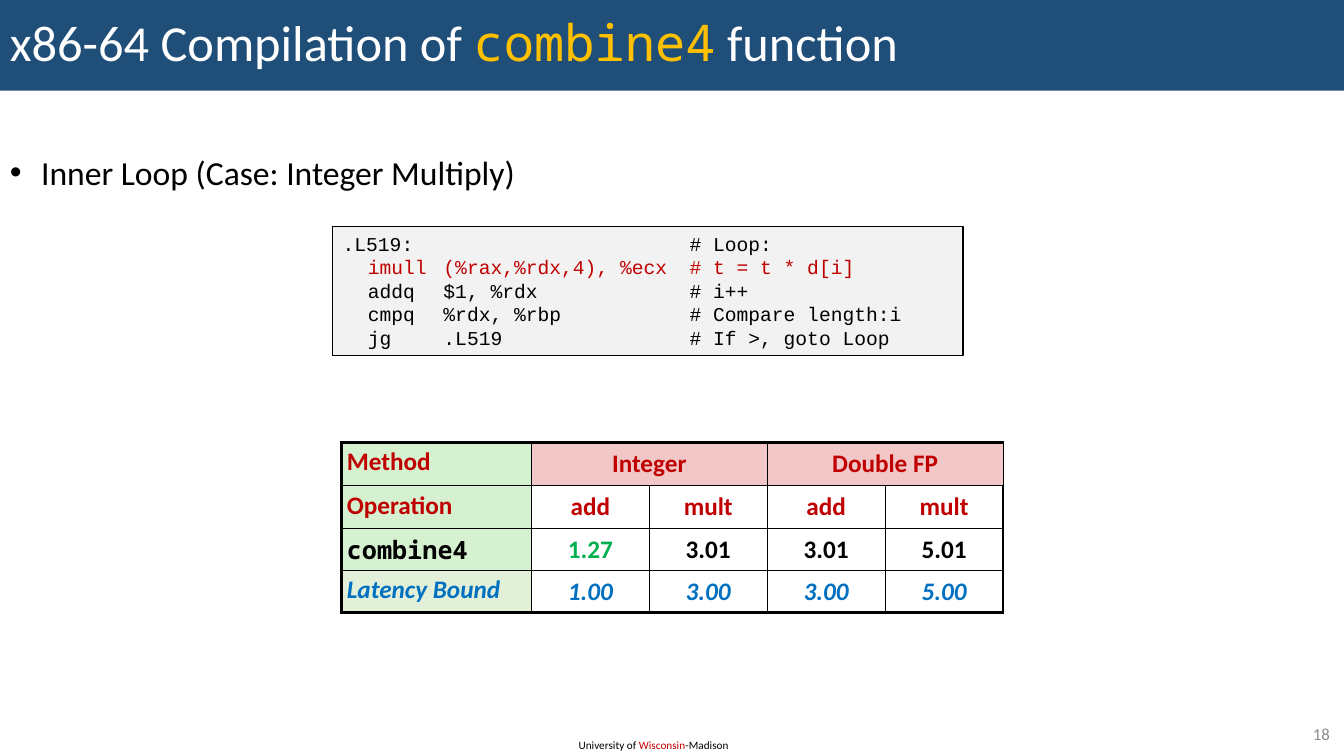
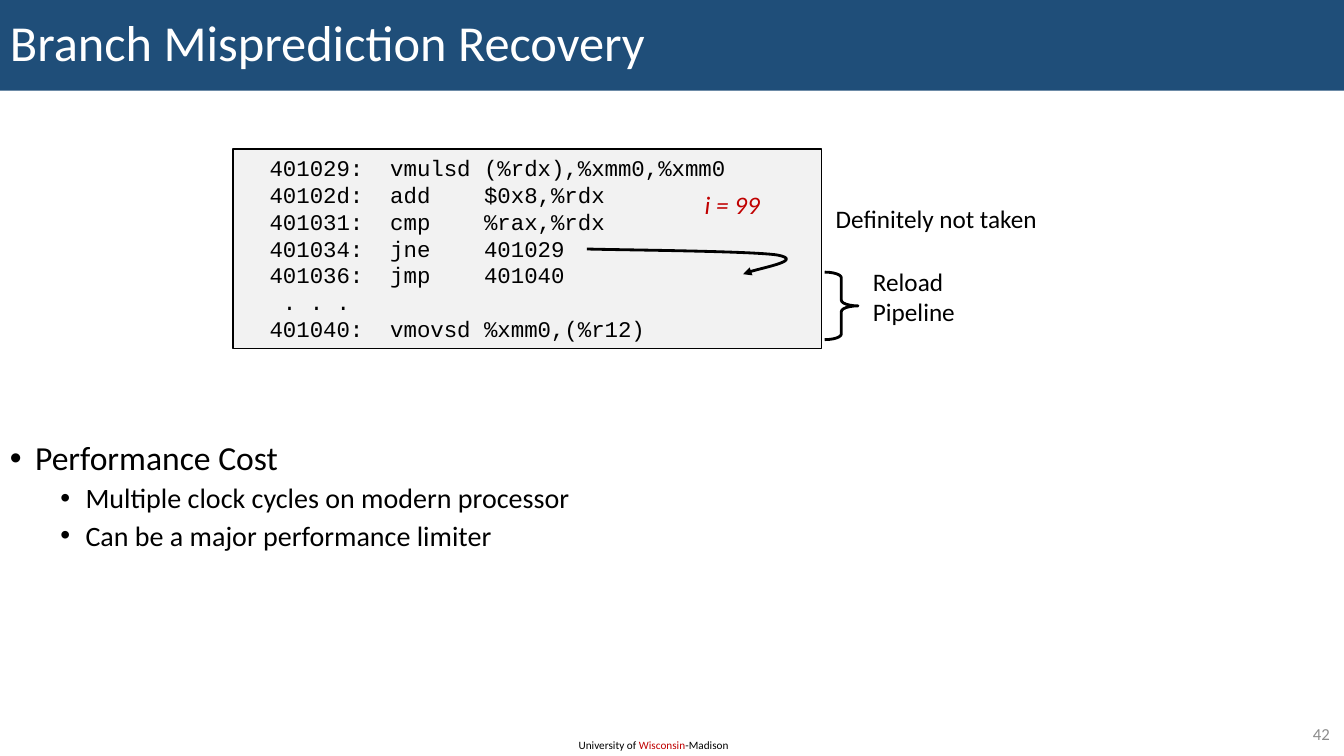
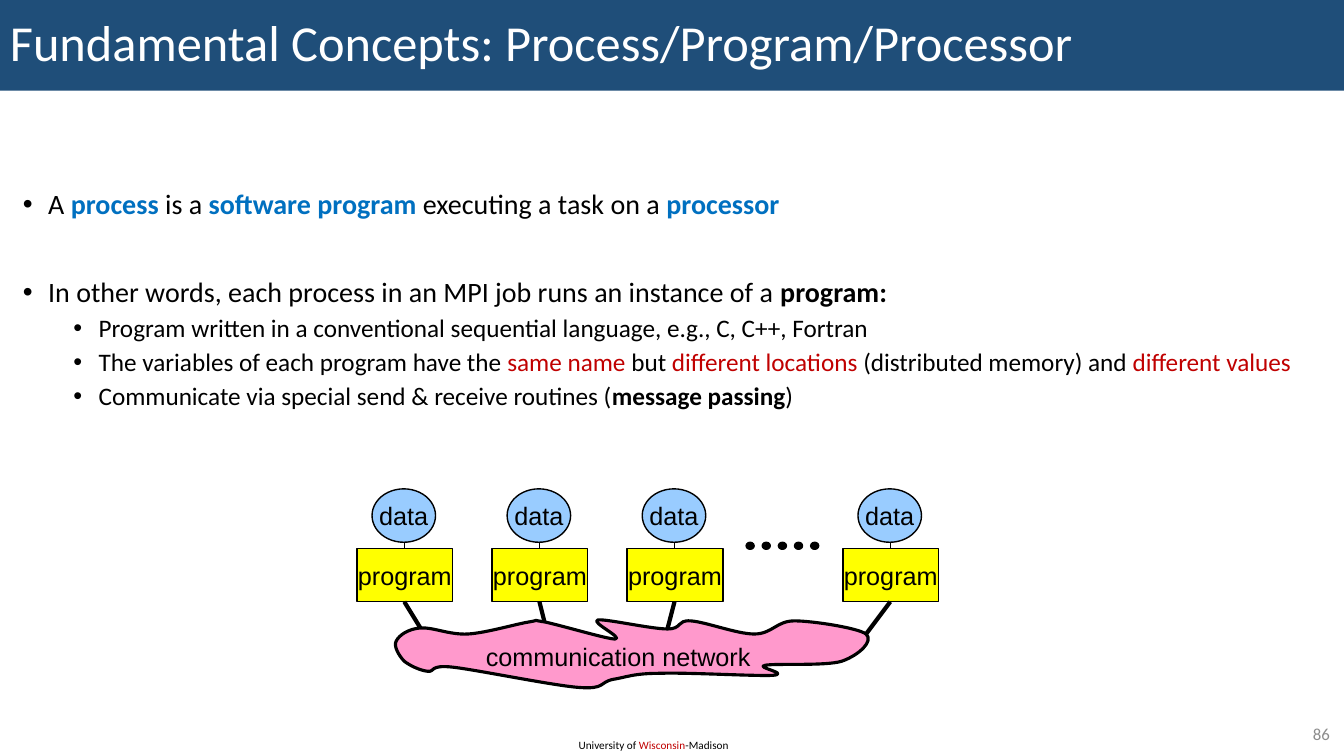
"""Build three lecture slides on program performance and message passing."""
from lxml import etree
from pptx import Presentation
from pptx.dml.color import RGBColor
from pptx.enum import shapes, text
from pptx.oxml import ns
from pptx.util import Emu, Pt

PX = 9144
SLIDE_W, SLIDE_H = 1333, 750
BLACK, WHITE, RED, BLUE = "000000", "FFFFFF", "C00000", "0070C0"
NAVY, GOLD, GREEN, GREY = "1F4E79", "FFC000", "00B050", "8C8C8C"
CODE_FILL, MINT, SAGE, ROSE = "F2F2F2", "D5F1CF", "E2F0D9", "F1C7C7"
SKY, YELLOW, PINK = "99CCFF", "FFFF00", "FF99CC"
MONO = "Noto Sans Mono"
LEFT, CENTER, RIGHT = text.PP_ALIGN.LEFT, text.PP_ALIGN.CENTER, text.PP_ALIGN.RIGHT
TOP, MIDDLE = text.MSO_ANCHOR.TOP, text.MSO_ANCHOR.MIDDLE
SHAPE = shapes.MSO_SHAPE


def px(n):
    """Turn pixels into EMU."""
    return Emu(n * PX)


def rgb(value):
    """Turn a hex string into a colour."""
    return RGBColor.from_string(value)


def font(size, color=BLACK, name="Calibri", **extra):
    """Return the format values of a run."""
    return {"name": name, "size": Pt(size), "color": color, **extra}


def apply(obj, values):
    """Set attributes from a dict."""
    for key, value in values.items():
        setattr(obj, key, value)


def child(parent, tag, **attrs):
    """Append a DrawingML element."""
    el = etree.SubElement(parent, ns.qn(tag))
    for key, value in attrs.items():
        el.set(key, str(value))
    return el


def fill_runs(p, runs, base):
    """Add runs, each a string or a (string, overrides) pair."""
    for run in [runs] if isinstance(runs, str) else runs:
        words, own = (run, {}) if isinstance(run, str) else run
        values = {**base, **own}
        r = p.add_run()
        r.text = words
        r.font.color.rgb = rgb(values.pop("color"))
        apply(r.font, values)


def paragraphs(tf, count):
    """Yield the given number of paragraphs of a text frame."""
    for i in range(count):
        yield tf.add_paragraph() if i else tf.paragraphs[0]


def write(sp, lines, base, align=LEFT, anchor=TOP, wrap=True, spacing=None, tabs=()):
    """Fill a shape with one paragraph per line."""
    tf = sp.text_frame
    apply(tf, {"word_wrap": wrap, "vertical_anchor": anchor})
    for p, runs in zip(paragraphs(tf, len(lines)), lines):
        apply(p, {"alignment": align, "line_spacing": spacing})
        if tabs:
            tab_list = child(p._p.get_or_add_pPr(), "a:tabLst")
            for pos in tabs:
                child(tab_list, "a:tab", pos=px(pos), algn="l")
        fill_runs(p, runs, base)


def label(s, box, lines, base, **layout):
    """Add a text box."""
    sp = s.shapes.add_textbox(*map(px, box))
    write(sp, lines, base, **layout)
    return sp


def paint(sp, fill=None, line=None, width=1):
    """Set the fill and outline of a shape."""
    sp.shadow.inherit = False
    if fill:
        sp.fill.solid()
        sp.fill.fore_color.rgb = rgb(fill)
    else:
        sp.fill.background()
    if line:
        sp.line.color.rgb = rgb(line)
        sp.line.width = Pt(width)
    else:
        sp.line.fill.background()
    return sp


def block(s, kind, box, fill=None, line=BLACK, width=1):
    """Add a preset shape."""
    return paint(s.shapes.add_shape(kind, *map(px, box)), fill, line, width)


def link(s, start, end, width):
    """Add a straight black line."""
    ends = map(px, (*start, *end))
    sp = s.shapes.add_connector(shapes.MSO_CONNECTOR.STRAIGHT, *ends)
    sp.line.color.rgb = rgb(BLACK)
    sp.line.width = Pt(width)
    child(sp.element.spPr, "a:effectLst")


def curve(s, start, segments, closed, **look):
    """Add an outline of cubic segments (x1, y1, x2, y2, x, y)."""
    builder = s.shapes.build_freeform(*start, scale=PX)
    points = [seg[i:i + 2] for seg in segments for i in (0, 2, 4)]
    builder.add_line_segments(points, close=closed)
    sp = builder.convert_to_shape()
    steps = list(sp.element.iter(ns.qn("a:lnTo")))
    for trio in zip(steps[::3], steps[1::3], steps[2::3]):
        cubic = etree.Element(ns.qn("a:cubicBezTo"))
        trio[0].addprevious(cubic)
        for step in trio:
            cubic.append(step[0])
            step.getparent().remove(step)
    return paint(sp, **look)


def bullets(s, box, items, sizes, indents):
    """Add bulleted text from (level, space before, runs) items."""
    tf = s.shapes.add_textbox(*map(px, box)).text_frame
    tf.word_wrap = True
    for p, (level, before, runs) in zip(paragraphs(tf, len(items)), items):
        margin, hang = indents[level]
        pPr = p._p.get_or_add_pPr()
        pPr.set("marL", str(px(margin)))
        pPr.set("indent", str(px(-hang)))
        child(pPr, "a:buFont", typeface="Arial")
        child(pPr, "a:buChar", char="•")
        apply(p, {"level": level, "line_spacing": 0.9, "space_before": Pt(before)})
        fill_runs(p, runs, font(sizes[level]))


def code(s, box, lines, size, tabs=()):
    """Add a grey box of code."""
    sp = block(s, SHAPE.RECTANGLE, box, CODE_FILL)
    write(sp, lines, font(size, name="Courier New"), tabs=tabs)


def border(cell, widths):
    """Draw the four sides of a table cell."""
    tcPr = cell._tc.get_or_add_tcPr()
    for side, width in zip("LRTB", widths):
        ln = child(tcPr, f"a:ln{side}", w=Pt(width))
        child(child(ln, "a:solidFill"), "a:srgbClr", val=BLACK)


def timing_table(s, left, top, widths, heights, rows):
    """Add a table of (text, fill, overrides) cells, None continuing a span."""
    size = sum(widths), sum(heights)
    table = s.shapes.add_table(len(rows), len(widths), *map(px, (left, top, *size))).table
    apply(table, {"first_row": False, "horz_banding": False})
    for col, width in zip(table.columns, widths):
        col.width = px(width)
    for row, height in zip(table.rows, heights):
        row.height = px(height)
    last_row, last_col = len(rows) - 1, len(widths) - 1
    margins = {f"margin_{side}": px(5) for side in ("left", "right", "top", "bottom")}
    for i, row in enumerate(rows):
        for j, content in enumerate(row):
            cell = table.cell(i, j)
            outer = j == 0, j == last_col, i == 0, i == last_row
            border(cell, [2.25 if edge else 1 for edge in outer])
            if content is None:
                table.cell(i, j - 1).merge(cell)
                continue
            words, fill, own = content
            apply(cell, {"vertical_anchor": MIDDLE if j else TOP, **margins})
            if fill:
                cell.fill.solid()
                cell.fill.fore_color.rgb = rgb(fill)
            else:
                cell.fill.background()
            p = cell.text_frame.paragraphs[0]
            apply(p, {"alignment": CENTER if j else LEFT, "line_spacing": 0.95})
            fill_runs(p, words, font(18, bold=True, **own))


def lecture_slide(prs, title, number):
    """Add a slide with the title band, footer and number."""
    s = prs.slides.add_slide(prs.slide_layouts[6])
    band = block(s, SHAPE.RECTANGLE, (0, 0, SLIDE_W, 90), NAVY, None)
    write(band, [title], font(36, WHITE), anchor=MIDDLE, spacing=0.9)
    footer = ["University of ", ("Wisconsin", {"color": RED}), "-Madison"]
    label(s, (564, 728, 172, 24), [footer], font(8))
    label(s, (1253, 713, 76, 29), [str(number)], font(12, GREY), align=RIGHT, anchor=MIDDLE)
    return s


def compilation(prs):
    """Build the slide on the compiled inner loop."""
    title = ["x86-64 Compilation of ", ("combine4", {"name": MONO, "color": GOLD}), " function"]
    s = lecture_slide(prs, title, 18)
    bullets(s, (0, 150, 903, 75), [(0, 0, "Inner Loop (Case: Integer Multiply)")],
            [24], [(31, 31)])
    loop = [
        ".L519:\t\t# Loop:",
        [("\timull\t(%rax,%rdx,4), %ecx\t# t = t * d[i]", {"color": RED})],
        "\taddq\t$1, %rdx\t# i++",
        "\tcmpq\t%rdx, %rbp\t# Compare length:i",
        "\tjg\t.L519\t# If >, goto Loop",
    ]
    code(s, (330, 225, 625, 128), loop, 14, tabs=(25, 100, 344))
    red, black, green = {"color": RED}, {"color": BLACK}, {"color": GREEN}
    bound = {"color": BLUE, "italic": True}
    rows = [
        [("Method", MINT, red), ("Integer", ROSE, red), None, ("Double FP", ROSE, red), None],
        [("Operation", MINT, red)] + [(op, None, red) for op in ("add", "mult") * 2],
        [("combine4", MINT, {"name": MONO, **black}), ("1.27", None, green)]
        + [(v, None, black) for v in ("3.01", "3.01", "5.01")],
        [("Latency Bound", SAGE, bound)]
        + [(v, None, bound) for v in ("1.00", "3.00", "3.00", "5.00")],
    ]
    timing_table(s, 339, 439, [188] + [117] * 4, [43] + [42] * 3, rows)


def misprediction(prs):
    """Build the slide on branch misprediction."""
    s = lecture_slide(prs, "Branch Misprediction Recovery", 42)
    items = [
        (0, 0, "Performance Cost"),
        (1, 5, "Multiple clock cycles on modern processor"),
        (1, 5, "Can be a major performance limiter"),
    ]
    bullets(s, (0, 433, 876, 150), items, [24, 20], [(25, 25), (75, 25)])
    listing = [
        "  401029:  vmulsd (%rdx),%xmm0,%xmm0",
        "  40102d:  add    $0x8,%rdx",
        "  401031:  cmp    %rax,%rdx",
        "  401034:  jne    401029",
        "  401036:  jmp    401040",
        "   . . .",
        "  401040:  vmovsd %xmm0,(%r12)",
    ]
    code(s, (231, 148, 584, 198), listing, 16)
    fall_through = [(613, 248, 745, 249, 771, 253), (797, 258, 744, 268, 737, 272)]
    arrow = curve(s, (582, 247), fall_through, False, line=BLACK, width=2)
    child(arrow.element.spPr.find(ns.qn("a:ln")), "a:tailEnd", type="triangle")
    label(s, (689, 183, 76, 40), ["i = 99"], font(18, RED, italic=True), wrap=False)
    label(s, (819, 197, 222, 40), ["Definitely not taken"], font(18), wrap=False)
    brace = block(s, SHAPE.RIGHT_BRACE, (818, 270, 33, 67), width=2)
    brace.adjustments[0] = 0.17
    label(s, (856, 259, 102, 71), ["Reload", "Pipeline"], font(18), wrap=False)


def concepts(prs):
    """Build the slide on processes and programs."""
    s = lecture_slide(prs, "Fundamental Concepts: Process/Program/Processor", 86)
    key, red, bold = {"color": BLUE, "bold": True}, {"color": RED}, {"bold": True}
    items = [
        (0, 0, ["A ", ("process", key), " is a ", ("software program", key),
                " executing a task on a ", ("processor", key)]),
        (0, 41, ["In other words, each process in an MPI job runs an instance of a ",
                 ("program:", bold)]),
        (1, 5, "Program written in a conventional sequential language, e.g., C, C++, Fortran"),
        (1, 5, ["The variables of each program have the ", ("same name ", red), "but ",
                ("different locations ", red), "(distributed memory) and ",
                ("different values", red)]),
        (1, 5, ["Communicate via special send & receive routines (",
                ("message passing", bold), ")"]),
    ]
    bullets(s, (13, 184, 1304, 308), items, [20, 18], [(25, 25), (75, 25)])
    arial = font(18, name="Arial")
    centers = [401, 535, 669, 883]
    for x in centers:
        data = block(s, SHAPE.OVAL, (x - 32, 485, 63, 53), SKY)
        program = block(s, SHAPE.RECTANGLE, (x - 47, 544, 95, 53), YELLOW)
        for sp, word in ((data, "data"), (program, "program")):
            write(sp, [word], arial, align=CENTER, anchor=MIDDLE, wrap=False)
        link(s, (x, 538), (x, 544), 1)
    for i in range(5):
        block(s, SHAPE.OVAL, (740 + 16 * i, 538, 8, 7), BLACK)
    cloud = [
        (429, 622, 446, 630, 464, 629), (482, 628, 512, 619, 525, 617),
        (537, 615, 526, 615, 540, 617), (555, 620, 602, 634, 610, 634),
        (619, 633, 585, 617, 593, 615), (602, 614, 646, 624, 662, 624),
        (677, 624, 671, 615, 685, 616), (700, 617, 731, 629, 748, 629),
        (766, 629, 770, 616, 788, 616), (806, 616, 851, 623, 859, 629),
        (867, 636, 852, 650, 835, 656), (819, 661, 770, 658, 759, 660),
        (748, 662, 784, 668, 767, 670), (750, 671, 682, 667, 655, 668),
        (628, 668, 621, 672, 608, 674), (594, 677, 601, 684, 574, 682),
        (548, 680, 475, 665, 450, 662), (425, 659, 432, 667, 424, 666),
        (416, 665, 406, 660, 401, 656), (396, 651, 390, 641, 393, 636),
        (396, 630, 405, 624, 417, 623),
    ]
    curve(s, (417, 623), cloud, True, fill=PINK, line=BLACK, width=2.25)
    label(s, (472, 631, 285, 41), ["communication network"], arial, wrap=False)
    for x, port in zip(centers, [(417, 623), (540, 617), (662, 624), (859, 629)]):
        link(s, (x, 597), port, 3)


def main():
    """Build and save the deck."""
    prs = Presentation()
    apply(prs, {"slide_width": px(SLIDE_W), "slide_height": px(SLIDE_H)})
    for build in (compilation, misprediction, concepts):
        build(prs)
    prs.save("out.pptx")


if __name__ == "__main__":
    main()
